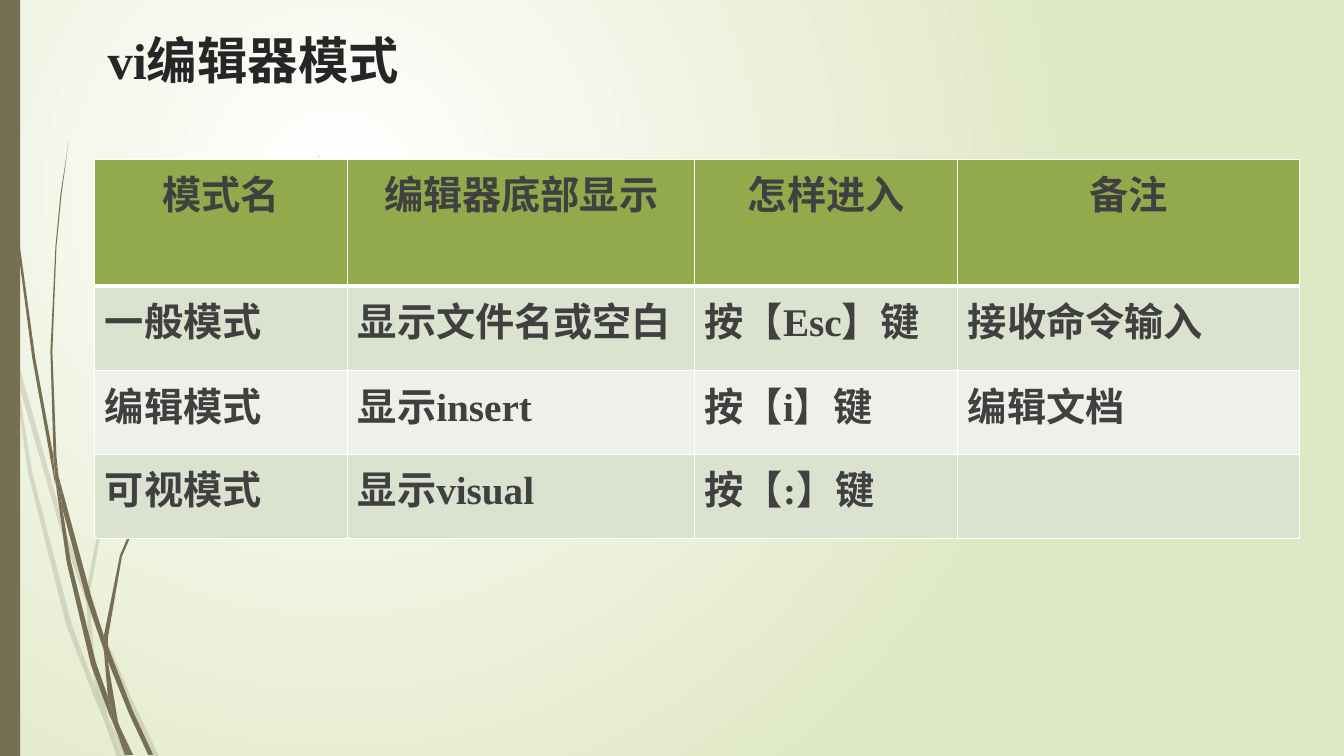
from lxml.etree import SubElement
from pptx import Presentation
from pptx.dml.color import RGBColor
from pptx.enum.shapes import MSO_SHAPE as Shape
from pptx.enum.text import MSO_ANCHOR as Anchor, PP_ALIGN as Align
from pptx.oxml.ns import qn
from pptx.util import Inches, Pt

BROWN, WHITE, DARK, GREY = "766F54", "FFFFFF", "262626", "404040"
HEADER_FILL, BAND_FILLS = "92AA4C", ("DCE2D0", "EEF1E9")

# Outlines of the grass blades, in hundredths of an inch
PALE_BLADES = [
    [(11, 350), (9, 322), (0, 282), (0, 299), (10, 344)],
    [(59, 522), (86, 599), (86, 586), (63, 520), (14, 345), (17, 376)],
    [(94, 607), (90, 596), (90, 610), (125, 694), (153, 751), (158, 751),
     (130, 692)],
    [(122, 751), (126, 751), (107, 711)],
    [(95, 683), (71, 619), (32, 469), (17, 376), (11, 350), (28, 470),
     (66, 621), (94, 693), (103, 714), (101, 707)],
    [(86, 599), (88, 646), (95, 683), (98, 692), (107, 711), (106, 706),
     (93, 646), (90, 610), (89, 608)],
    [(90, 584), (112, 462), (163, 349), (233, 245), (274, 198), (295, 175),
     (318, 154), (318, 153), (295, 175), (273, 197), (232, 244), (161, 348),
     (110, 461), (86, 584), (86, 586), (90, 596)],
    [(103, 714), (116, 751), (121, 751)],
    [(89, 608), (90, 610), (90, 596), (86, 586), (86, 599)],
    [(98, 692), (95, 683), (101, 707), (103, 714), (121, 751), (107, 711)],
]
DARK_BLADES = [
    [(7, 110), (16, 233), (32, 355), (54, 477), (55, 481), (53, 457),
     (53, 453), (35, 355), (18, 232), (8, 109), (5, 48), (3, 0), (3, 48)],
    [(85, 592), (103, 645), (103, 633), (103, 631), (90, 590), (58, 472),
     (62, 505)],
    [(110, 649), (107, 641), (107, 656), (128, 708), (147, 749), (152, 749),
     (132, 706)],
    [(107, 691), (95, 657), (70, 556), (62, 505), (55, 477), (66, 557),
     (90, 659), (108, 708), (114, 722), (112, 717)],
    [(58, 472), (56, 453), (52, 349), (56, 245), (61, 193), (68, 141),
     (60, 193), (55, 245), (50, 349), (53, 449)],
    [(129, 749), (132, 749), (118, 719)],
    [(55, 477), (62, 505), (58, 472), (53, 449), (53, 453)],
    [(107, 633), (121, 552), (154, 476), (198, 406), (224, 374), (238, 359),
     (253, 344), (252, 344), (238, 358), (224, 373), (197, 405), (152, 474),
     (119, 551), (103, 631), (107, 641)],
    [(114, 722), (124, 749), (127, 749)],
    [(103, 645), (107, 691), (112, 706), (118, 719), (117, 716), (107, 656),
     (105, 651)],
    [(103, 645), (105, 651), (107, 656), (107, 641), (103, 631), (103, 633)],
    [(112, 706), (107, 691), (112, 717), (114, 722), (127, 749), (129, 749),
     (118, 719)],
]

COLUMN_WIDTHS = (2.51, 3.44, 2.61, 3.39)
ROW_HEIGHTS = (1.26, 0.84, 0.83, 0.83)
MODES = [
    ("模式名", "编辑器底部显示", "怎样进入", "备注"),
    ("一般模式", "显示文件名或空白", "按【Esc】键", "接收命令输入"),
    ("编辑模式", "显示insert", "按【i】键", "编辑文档"),
    ("可视模式", "显示visual", "按【:】键", ""),
]


def color(value):
    return RGBColor.from_string(value)


class SlideMaker:
    font_name = "Times New Roman"

    def __init__(self, page):
        self.page = page

    def background(self, inner, outer):
        fill = self.page.background.fill
        fill.gradient()
        for stop, value in zip(fill.gradient_stops, (inner, outer)):
            stop.color.rgb = color(value)
        gradient = self.page.element.find(".//" + qn("a:gradFill"))
        gradient.remove(gradient.find(qn("a:lin")))
        circle = SubElement(gradient, qn("a:path"), {"path": "circle"})
        SubElement(circle, qn("a:fillToRect"),
                   l="50000", t="50000", r="100000", b="100000")

    def paint(self, shape, value, alpha=100):
        shape.shadow.inherit = False
        shape.fill.solid()
        shape.fill.fore_color.rgb = color(value)
        shape.line.fill.background()
        if alpha < 100:
            solid = shape.element.spPr.find(qn("a:solidFill"))
            SubElement(solid[0], qn("a:alpha"), val=str(alpha * 1000))

    def blade(self, points, alpha):
        builder = self.page.shapes.build_freeform(*points[0],
                                                  scale=Inches(0.01))
        builder.add_line_segments(points[1:], close=True)
        self.paint(builder.convert_to_shape(), BROWN, alpha)

    def bar(self, left, top, width, height):
        bar = self.page.shapes.add_shape(
            Shape.RECTANGLE, *map(Inches, (left, top, width, height)))
        self.paint(bar, BROWN)

    def add_span(self, para, text, size, value):
        span = para.add_run()
        span.text = text
        span.font.name = self.font_name
        span.font.size = Pt(size)
        span.font.bold = True
        span.font.color.rgb = color(value)

    def title(self, text, left, top, width, height):
        box = self.page.shapes.add_textbox(
            *map(Inches, (left, top, width, height)))
        box.text_frame.word_wrap = True
        box.text_frame.vertical_anchor = Anchor.TOP
        self.add_span(box.text_frame.paragraphs[0], text, 36, DARK)

    def cell(self, cell, text, fill, is_header, bottom, top):
        for side, width in (("L", 1), ("R", 1), ("T", top), ("B", bottom)):
            line = SubElement(cell._tc.get_or_add_tcPr(), qn("a:ln" + side),
                              w=str(int(Pt(width))))
            solid = SubElement(line, qn("a:solidFill"))
            SubElement(solid, qn("a:srgbClr"), val=WHITE)
        cell.fill.solid()
        cell.fill.fore_color.rgb = color(fill)
        para = cell.text_frame.paragraphs[0]
        para.alignment = Align.CENTER if is_header else Align.LEFT
        if text:
            self.add_span(para, text, 28, GREY)

    def table(self, rows, left, top):
        size = sum(COLUMN_WIDTHS), sum(ROW_HEIGHTS)
        table = self.page.shapes.add_table(
            len(rows), len(COLUMN_WIDTHS),
            *map(Inches, (left, top, *size))).table
        for column, width in zip(table.columns, COLUMN_WIDTHS):
            column.width = Inches(width)
        for number, texts in enumerate(rows):
            table.rows[number].height = Inches(ROW_HEIGHTS[number])
            is_header = number == 0
            fill = HEADER_FILL if is_header else BAND_FILLS[(number - 1) % 2]
            for cell, text in zip(table.rows[number].cells, texts):
                self.cell(cell, text, fill, is_header,
                          bottom=3 if is_header else 1,
                          top=3 if number == 1 else 1)


def main():
    deck = Presentation()
    deck.slide_width, deck.slide_height = Inches(13.33), Inches(7.5)
    maker = SlideMaker(deck.slides.add_slide(deck.slide_layouts[6]))

    # Background and grass decoration
    maker.background(WHITE, "DFE8C4")
    for blades, alpha in ((PALE_BLADES, 20), (DARK_BLADES, 100)):
        for points in blades:
            maker.blade(points, alpha)
    maker.bar(0, 0, 0.2, 7.5)

    # Title and table of editor modes
    maker.title("vi编辑器模式", 0.97, 0.24, 11.57, 0.85)
    maker.table(MODES, 0.94, 1.58)

    deck.save("out.pptx")


if __name__ == "__main__":
    main()
